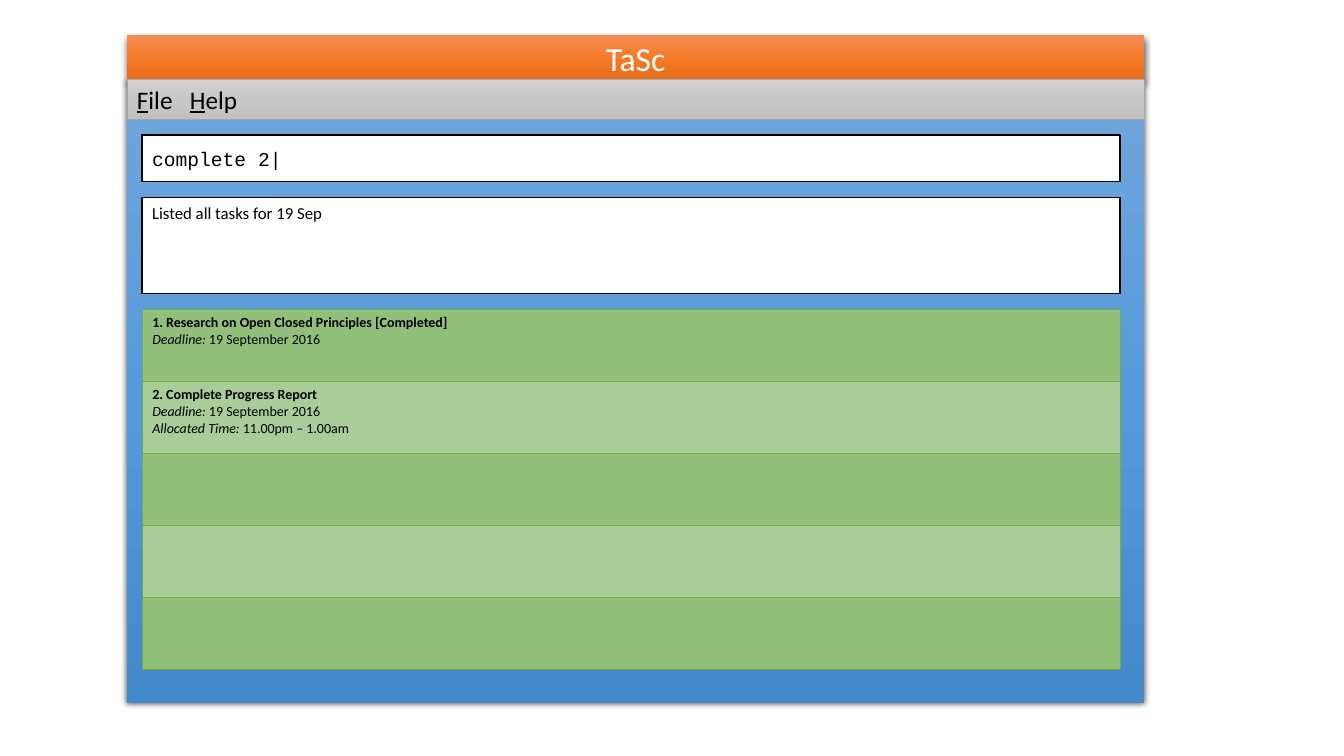
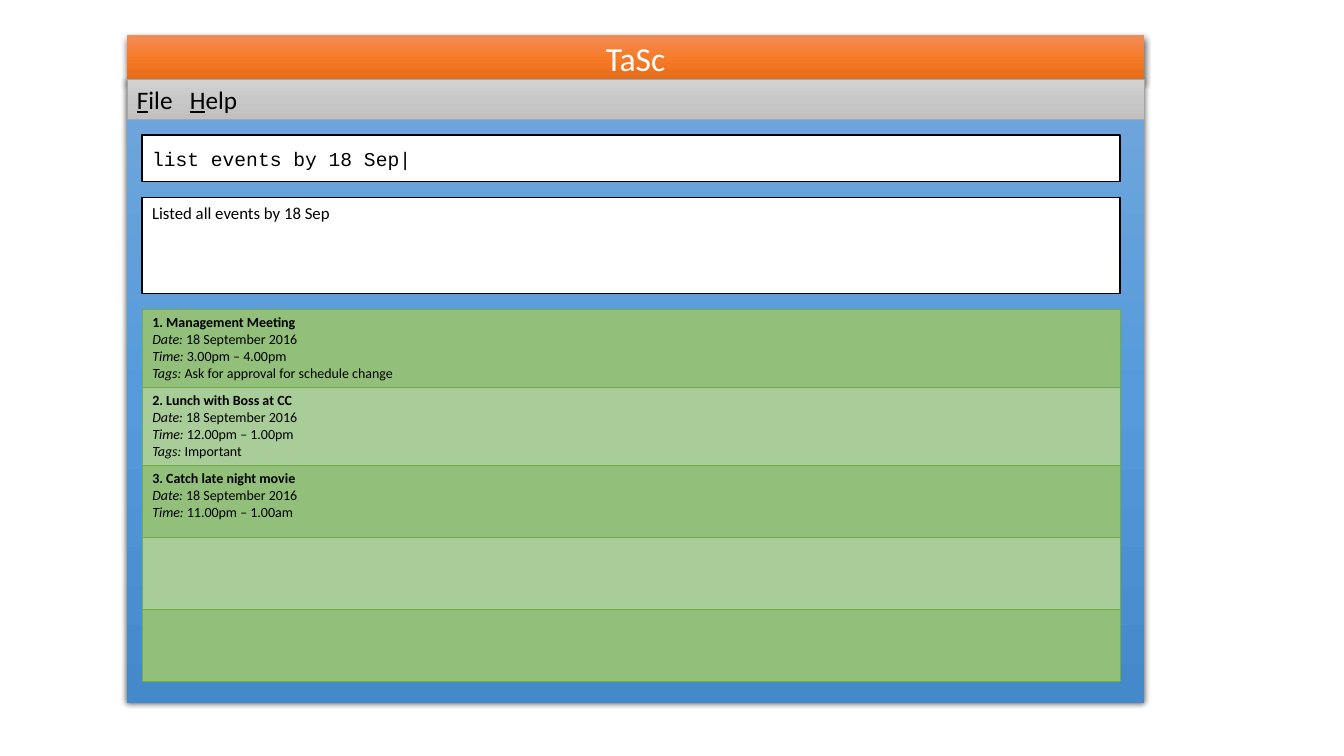
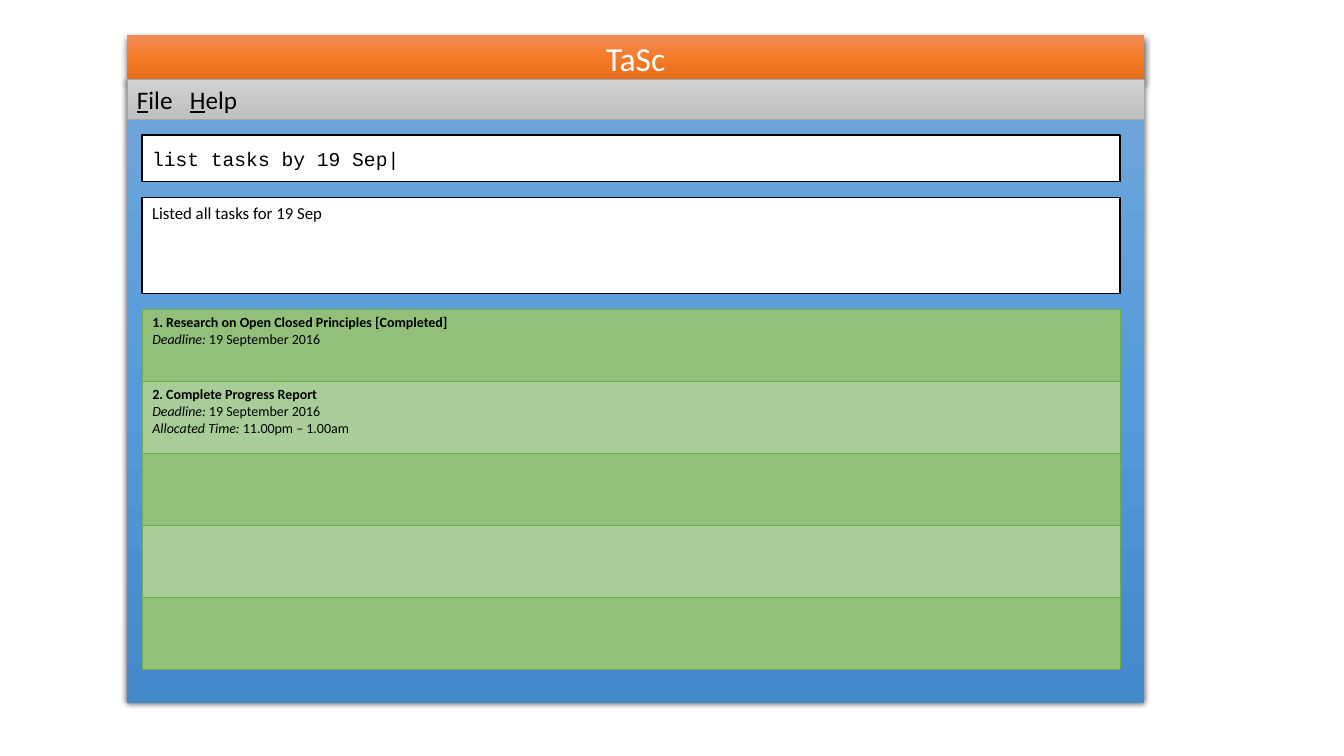
"""Build three mock-up screens of a task manager window."""
import copy

import lxml.etree
import pptx
import pptx.dml.color
import pptx.enum.shapes
import pptx.enum.text
import pptx.oxml.ns
import pptx.util

Pt = pptx.util.Pt
RGBColor = pptx.dml.color.RGBColor
qn = pptx.oxml.ns.qn
ANCHOR = pptx.enum.text.MSO_ANCHOR
ALIGN = pptx.enum.text.PP_ALIGN

BLACK = RGBColor(0x00, 0x00, 0x00)
WHITE = RGBColor(0xFF, 0xFF, 0xFF)
MENU_EDGE = RGBColor(0xA5, 0xA5, 0xA5)
ROW_EDGE = RGBColor(0x70, 0xAD, 0x47)
ROW_DARK = RGBColor(0x92, 0xC0, 0x7A)
ROW_LIGHT = RGBColor(0xA9, 0xCD, 0x98)
BLUES = (RGBColor(0x71, 0xA6, 0xDB), RGBColor(0x55, 0x9B, 0xDB), RGBColor(0x44, 0x8A, 0xCA))
ORANGES = (RGBColor(0xF1, 0x8C, 0x57), RGBColor(0xF6, 0x7B, 0x28), RGBColor(0xE5, 0x6C, 0x19))
GREYS = (RGBColor(0xD2, 0xD2, 0xD2), RGBColor(0xC8, 0xC8, 0xC8), RGBColor(0xC0, 0xC0, 0xC0))

BODY, MONO = "Calibri", "Courier New"
WIN_X, WIN_W = 90.72, 726.48
TITLE_Y, TITLE_H = 25.3, 31.6
WIN_Y, WIN_H, MENU_H = 56.9, 445, 28.4
BOX_X, BOX_W = 101.6, 698.4
COMMAND_Y, COMMAND_H = 96.5, 33.1
REPLY_Y, REPLY_H = 141.2, 68.6
LIST_Y, ROW_H, ROW_COUNT = 220.6, 51.5, 5
HELP_TAB = 37.8

TASKS = (
    ("1. Research on Open Closed Principles [Completed]",
     (("Deadline:", "19 September 2016"),)),
    ("2. Complete Progress Report",
     (("Deadline:", "19 September 2016"), ("Allocated Time:", "11.00pm – 1.00am"))),
)
EVENTS = (
    ("1. Management Meeting",
     (("Date:", "18 September 2016"), ("Time:", "3.00pm – 4.00pm"),
      ("Tags:", "Ask for approval for schedule change"))),
    ("2. Lunch with Boss at CC",
     (("Date:", "18 September 2016"), ("Time:", "12.00pm – 1.00pm"),
      ("Tags:", "Important"))),
    ("3. Catch late night movie",
     (("Date:", "18 September 2016"), ("Time:", "11.00pm – 1.00am"))),
)
SCREENS = (
    ("complete 2|", "Listed all tasks for 19 Sep", TASKS),
    ("list events by 18 Sep|", "Listed all events by 18 Sep", EVENTS),
    ("list tasks by 19 Sep|", "Listed all tasks for 19 Sep", TASKS),
)


def add_text(p, text, *, size, font=BODY, color=BLACK, bold=False, italic=False, underline=False):
    """Append one formatted run to a paragraph."""
    r = p.add_run()
    r.text = text
    r.font.size, r.font.name = Pt(size), font
    r.font.color.rgb = color
    r.font.bold, r.font.italic, r.font.underline = bold, italic, underline


def add_rect(s, x, y, w, h, *, line=None, line_w=1, anchor=ANCHOR.MIDDLE):
    """Add a rectangle without shadow and return it, ready for fill and text."""
    kind = pptx.enum.shapes.MSO_SHAPE.RECTANGLE
    sp = s.shapes.add_shape(kind, Pt(x), Pt(y), Pt(w), Pt(h))
    sp.shadow.inherit = False
    if line is None:
        sp.line.fill.background()
    else:
        sp.line.color.rgb, sp.line.width = line, Pt(line_w)
    tf = sp.text_frame
    tf.word_wrap, tf.vertical_anchor = True, anchor
    tf.paragraphs[0].alignment = ALIGN.LEFT
    return sp


def fill_gradient(sp, colors):
    """Fill a shape from top to bottom with three evenly spaced colours."""
    sp.fill.gradient()
    sp.fill.gradient_angle = 270
    stops = sp._element.spPr.find(qn("a:gradFill")).find(qn("a:gsLst"))
    stops.insert(1, copy.deepcopy(stops[0]))
    for i, (stop, color) in enumerate(zip(sp.fill.gradient_stops, colors)):
        stop.position = i / 2
        stop.color.rgb = color


def add_shadow(sp):
    """Give a shape a soft shadow below it."""
    effects = sp._element.spPr.find(qn("a:effectLst"))
    shadow = lxml.etree.SubElement(effects, qn("a:outerShdw"), blurRad=str(Pt(4.5)),
                                   dist=str(Pt(1.5)), dir="5400000", algn="ctr", rotWithShape="0")
    color = lxml.etree.SubElement(shadow, qn("a:srgbClr"), val=str(BLACK))
    lxml.etree.SubElement(color, qn("a:alpha"), val="63000")


def add_window(s):
    """Add the window body and its title bar."""
    body = add_rect(s, WIN_X, WIN_Y, WIN_W, WIN_H)
    title = add_rect(s, WIN_X, TITLE_Y, WIN_W, TITLE_H)
    for sp, colors in ((body, BLUES), (title, ORANGES)):
        fill_gradient(sp, colors)
        add_shadow(sp)
    p = title.text_frame.paragraphs[0]
    p.alignment = ALIGN.CENTER
    add_text(p, "TaSc", size=24, color=WHITE)


def add_menu(s):
    """Add the menu bar with underlined access keys."""
    sp = add_rect(s, WIN_X, WIN_Y, WIN_W, MENU_H, line=MENU_EDGE, line_w=0.5)
    fill_gradient(sp, GREYS)
    p = sp.text_frame.paragraphs[0]
    tabs = lxml.etree.SubElement(p._p.get_or_add_pPr(), qn("a:tabLst"))
    lxml.etree.SubElement(tabs, qn("a:tab"), pos=str(Pt(HELP_TAB)), algn="l")
    for key, rest in (("F", "ile\t"), ("H", "elp")):
        add_text(p, key, size=18, underline=True)
        add_text(p, rest, size=18)


def add_field(s, y, h, text, *, anchor, **fmt):
    """Add a white, black-edged field with one line of text."""
    sp = add_rect(s, BOX_X, y, BOX_W, h, line=BLACK, anchor=anchor)
    sp.fill.solid()
    sp.fill.fore_color.rgb = WHITE
    add_text(sp.text_frame.paragraphs[0], text, **fmt)


def style_cell(cell, color):
    """Set the borders and the fill of a list row."""
    tcPr = cell._tc.get_or_add_tcPr()
    for side in ("a:lnL", "a:lnR", "a:lnT", "a:lnB"):
        ln = lxml.etree.SubElement(tcPr, qn(side), w=str(Pt(0.5)))
        fill = lxml.etree.SubElement(ln, qn("a:solidFill"))
        lxml.etree.SubElement(fill, qn("a:srgbClr"), val=str(ROW_EDGE))
    cell.fill.solid()
    cell.fill.fore_color.rgb = color


def add_list(s, items):
    """Add the table of items, with empty rows at the end."""
    table = s.shapes.add_table(ROW_COUNT, 1, Pt(BOX_X), Pt(LIST_Y), Pt(BOX_W),
                               Pt(ROW_H * ROW_COUNT)).table
    table.first_row = table.horz_banding = False
    for i in range(ROW_COUNT):
        style_cell(table.cell(i, 0), ROW_LIGHT if i % 2 else ROW_DARK)
    for i, (name, details) in enumerate(items):
        tf = table.cell(i, 0).text_frame
        add_text(tf.paragraphs[0], name, size=10, bold=True)
        for label, value in details:
            p = tf.add_paragraph()
            add_text(p, label + " ", size=10, italic=True)
            add_text(p, value, size=10)


def main():
    """Build and save the presentation."""
    prs = pptx.Presentation()
    prs.slide_width, prs.slide_height = Pt(960), Pt(540)
    for command, reply, items in SCREENS:
        s = prs.slides.add_slide(prs.slide_layouts[6])
        add_window(s)
        add_field(s, COMMAND_Y, COMMAND_H, command, anchor=ANCHOR.MIDDLE, size=14, font=MONO)
        add_field(s, REPLY_Y, REPLY_H, reply, anchor=ANCHOR.TOP, size=12)
        add_list(s, items)
        add_menu(s)
    prs.save("out.pptx")


main()
